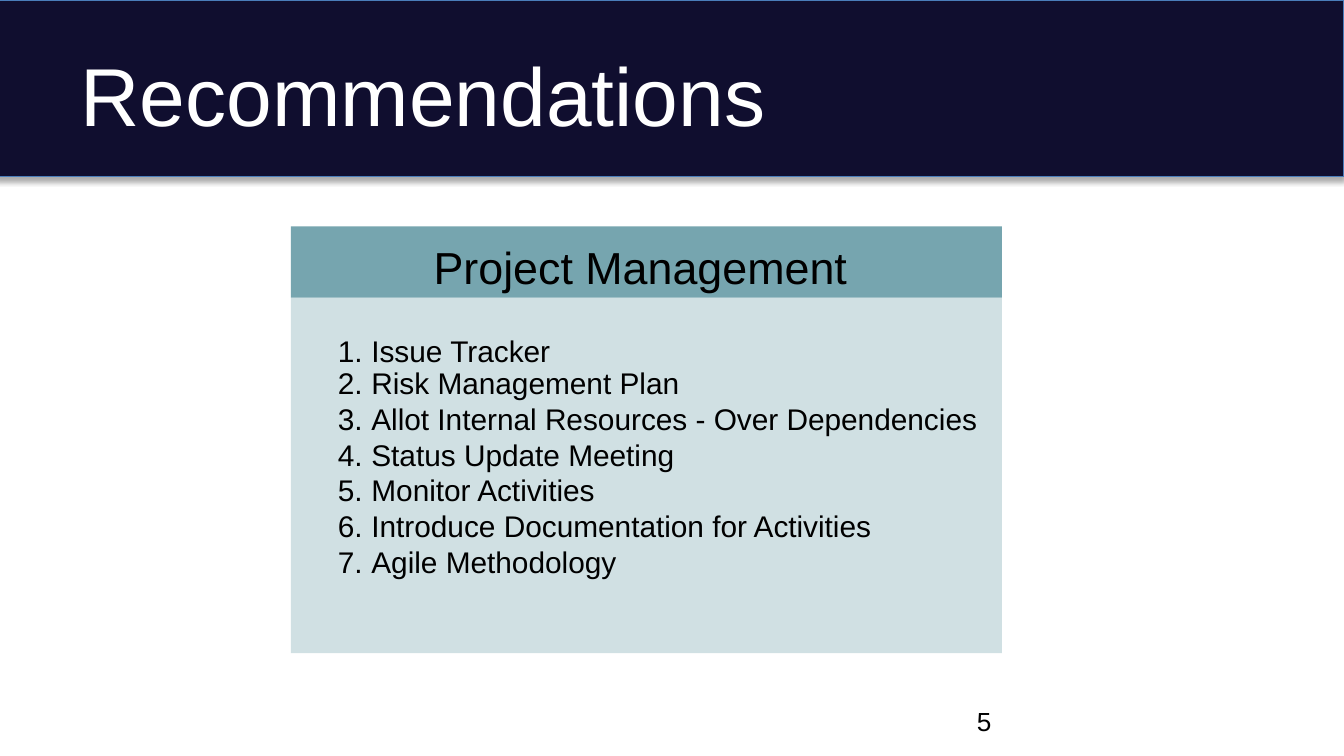
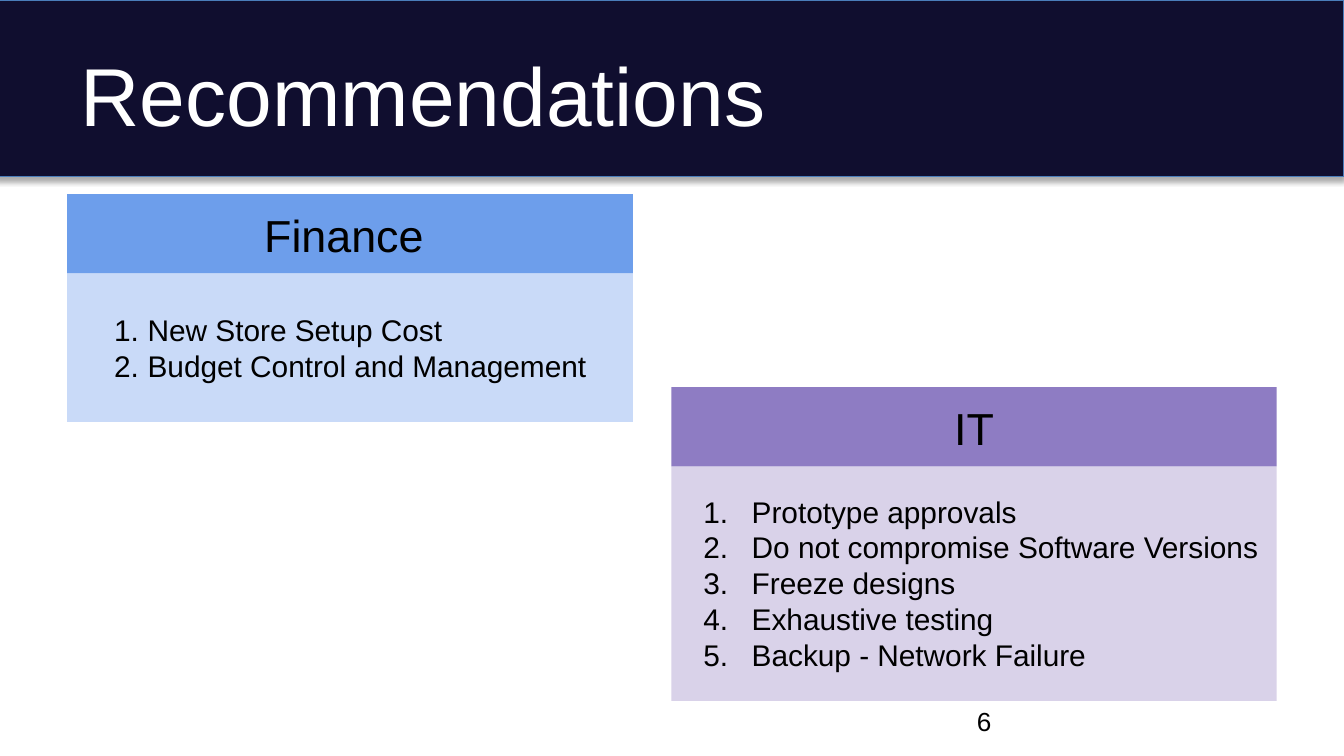
from dataclasses import dataclass

from lxml import etree
from pptx import Presentation
from pptx import util as u
from pptx.dml.color import RGBColor
from pptx.enum import shapes, text
from pptx.oxml import ns

PX = u.Inches(1) // 200  # 200 px to the inch


@dataclass(frozen=True)
class Theme:
    font: str = "Arial"
    ink: str = "000000"
    paper: str = "FFFFFF"
    navy: str = "100E2F"
    edge: str = "4A7DBA"
    teal: tuple = ("76A5AF", "D0E0E3")
    blue: tuple = ("6D9EEB", "C9DAF8")
    violet: tuple = ("8E7CC3", "D9D2E9")
    title: int = 44
    head: int = 24
    item: int = 16
    page: int = 14
    lead: float = 19.2
    tight: float = 17.3


T = Theme()


def emu(*box):
    return [n * PX for n in box]


def add(parent, tag, **attrs):
    """Append a DrawingML element and return it."""
    return etree.SubElement(parent, ns.qn(tag), attrs)


def write(shape, lines, size, color=T.ink, align="LEFT", anchor="TOP",
          top=10, leads=()):
    """Fill a shape with one paragraph per line, top px below its edge."""
    frame = shape.text_frame
    frame.word_wrap = True
    frame.vertical_anchor = getattr(text.MSO_ANCHOR, anchor)
    frame.margin_left = frame.margin_right = 20 * PX
    frame.margin_top, frame.margin_bottom = emu(top, 10)
    frame.text = "\n".join(lines)
    for para in frame.paragraphs:
        para.alignment = getattr(text.PP_ALIGN, align)
        font = para.runs[0].font
        font.name, font.size = T.font, u.Pt(size)
        font.color.rgb = RGBColor.from_string(color)
    for para, lead in zip(frame.paragraphs, leads):
        para.line_spacing = u.Pt(lead)
    return frame


def rect(slide, box, fill, line=None):
    shape = slide.shapes.add_shape(shapes.MSO_SHAPE.RECTANGLE, *emu(*box))
    shape.shadow.inherit = False
    shape.fill.solid()
    shape.fill.fore_color.rgb = RGBColor.from_string(fill)
    if line:
        shape.line.color.rgb = RGBColor.from_string(line)
        shape.line.width = u.Pt(0.75)
    else:
        shape.line.fill.background()
    return shape


def number(frame, hang):
    """Number the paragraphs, with the text half an inch in."""
    for para in frame.paragraphs:
        props = para._p.get_or_add_pPr()
        props.set("marL", str(100 * PX))
        props.set("indent", str(-hang * PX))
        add(add(props, "a:buClr"), "a:srgbClr", val=T.ink)
        add(props, "a:buFont", typeface=T.font)
        add(props, "a:buAutoNum", type="arabicPeriod")


def banner(slide, words):
    band = rect(slide, (-8, 0, 2008, 263), T.navy, T.edge)
    glow = add(band.element.spPr.find(ns.qn("a:effectLst")), "a:outerShdw",
               blurRad=str(u.Pt(3.1)), dist=str(u.Pt(1.8)),
               dir="5400000", rotWithShape="0")
    add(add(glow, "a:srgbClr", val=T.ink), "a:alpha", val="33000")
    title = slide.shapes.title
    title.element.addprevious(band.element)
    title.left, title.top, title.width, title.height = emu(100, 46, 1800, 188)
    write(title, [words], T.title, T.paper, anchor="MIDDLE")


def footer(slide, num):
    box = slide.shapes.add_textbox(*emu(1434, 1043, 466, 60))
    write(box, [str(num)], T.page, anchor="MIDDLE")


def panel(slide, box, head, title, items, tones, top, hang=50, tight=0):
    """A header strip of height head over a numbered list."""
    x, y, w, h = box
    body = rect(slide, (x, y + head, w, h - head), tones[1])
    leads = [T.tight] * tight + [T.lead] * (len(items) - tight)
    number(write(body, items, T.item, top=top, leads=leads), hang)
    strip = rect(slide, (x, y, w, head), tones[0])
    write(strip, [title], T.head, align="CENTER", top=20)


def page(deck, num):
    slide = deck.slides.add_slide(deck.slide_layouts[5])
    banner(slide, "Recommendations")
    footer(slide, num)
    return slide


def main():
    deck = Presentation()
    deck.slide_width, deck.slide_height = emu(2000, 1125)

    slide = page(deck, 5)
    panel(slide, (433, 337, 1058, 635), 106, "Project Management ", [
        "Issue Tracker",
        "Risk Management Plan",
        "Allot Internal Resources - Over Dependencies",
        "Status Update Meeting",
        "Monitor Activities",
        "Introduce Documentation for Activities",
        "Agile Methodology",
    ], T.teal, top=57, tight=2)

    slide = page(deck, 6)
    panel(slide, (100, 289, 842, 339), 118, "Finance ", [
        "New Store Setup Cost",
        "Budget Control and Management",
    ], T.blue, top=57)
    panel(slide, (999, 576, 901, 467), 118, "IT", [
        "Prototype approvals",
        "Do not compromise Software Versions",
        "Freeze designs",
        "Exhaustive testing",
        "Backup - Network Failure",
    ], T.violet, top=40, hang=72)

    deck.save("out.pptx")


if __name__ == "__main__":
    main()
